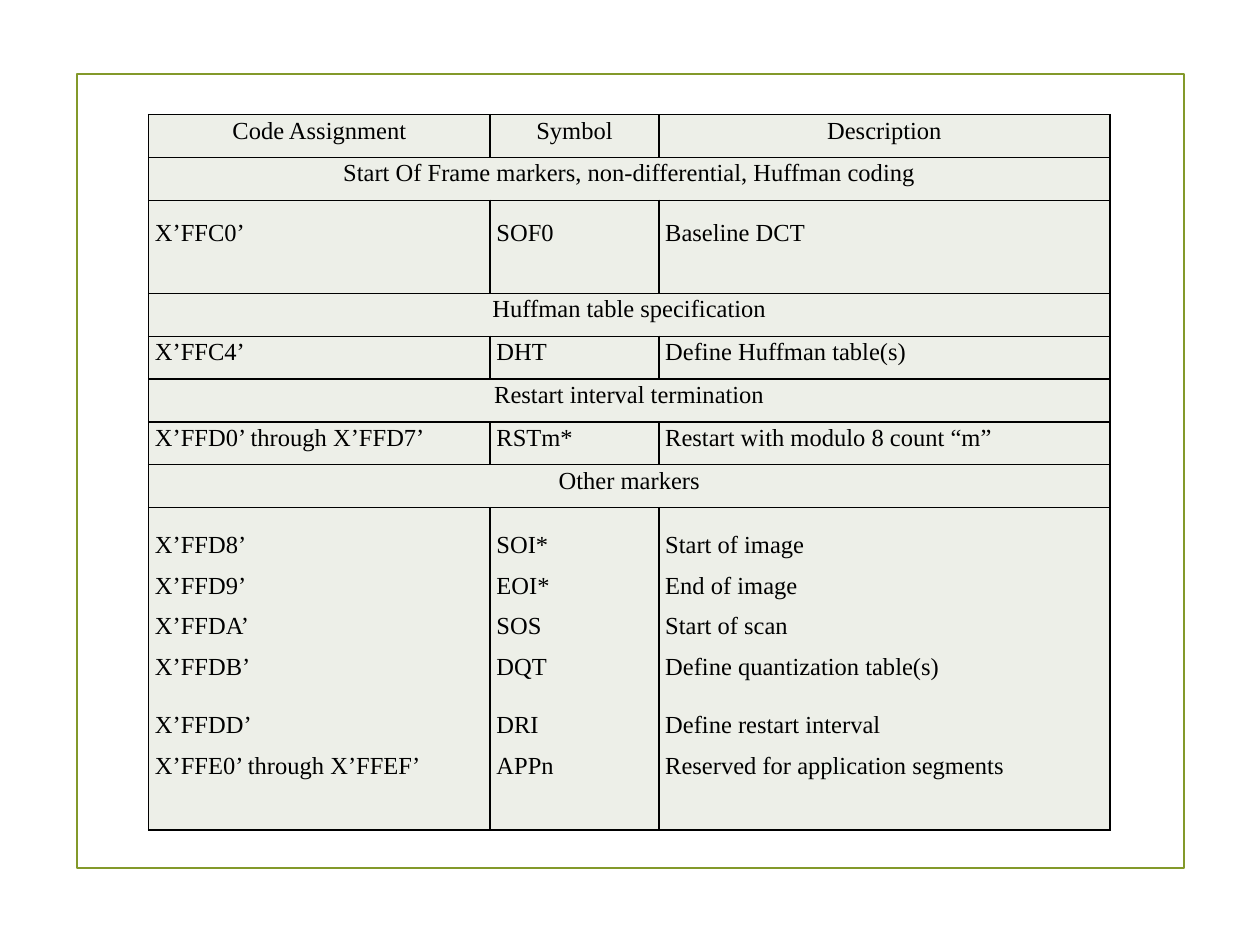
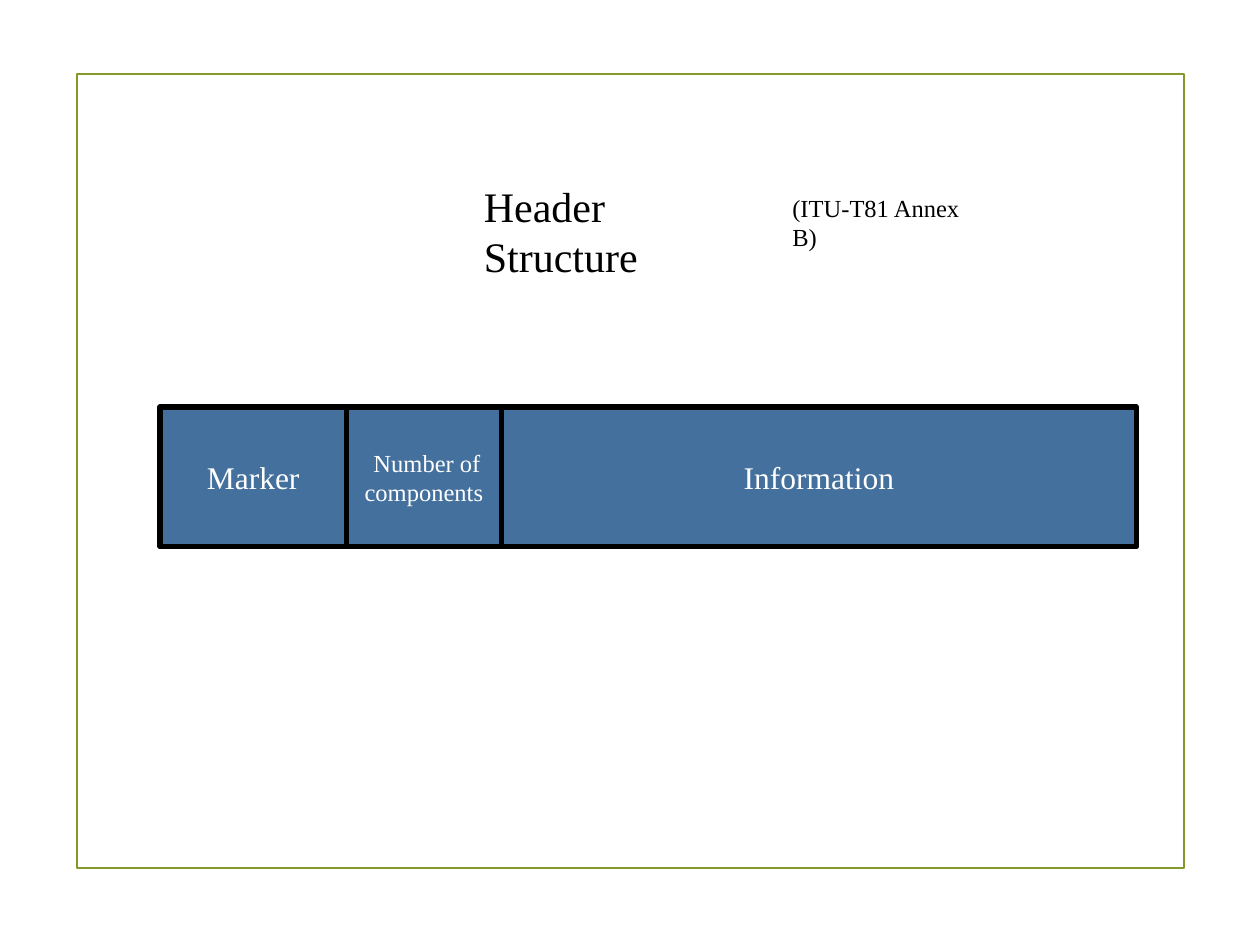
from copy import deepcopy
from dataclasses import dataclass

from lxml import etree
from pptx import Presentation
from pptx.dml.color import RGBColor
from pptx.enum import shapes, text
from pptx.oxml import ns
from pptx.util import Inches, Pt


@dataclass(frozen=True)
class Theme:
    font: str = "Times New Roman"
    ink: str = "000000"
    paper: str = "FFFFFF"
    frame: str = "83992A"
    cell: str = "EDEFE8"
    field: str = "44709D"
    title_size: int = 24
    field_size: int = 18
    body_size: int = 14


THEME = Theme()
FRAME_BOX = (0.61, 0.59, 8.79, 6.3)

COLUMN_WIDTHS = (2.71, 1.34, 3.58)
LINE_HEIGHT = 0.34

# Each row is a spanning heading, or groups of (code, symbol, description)
MARKER_ROWS = [
    "Start Of Frame markers, non-differential, Huffman coding",
    [[("X’FFC0’", "SOF0", "Baseline DCT")]],
    "Huffman table specification",
    [[("X’FFC4’", "DHT", "Define Huffman table(s)")]],
    "Restart interval termination",
    [[("X’FFD0’ through X’FFD7’", "RSTm*", "Restart with modulo 8 count “m”")]],
    "Other markers",
    [
        [
            ("X’FFD8’", "SOI*", "Start of image"),
            ("X’FFD9’", "EOI*", "End of image"),
            ("X’FFDA’", "SOS", "Start of scan"),
            ("X’FFDB’", "DQT", "Define quantization table(s)"),
        ],
        [
            ("X’FFDD’", "DRI", "Define restart interval"),
            ("X’FFE0’ through X’FFEF’", "APPn", "Reserved for application segments"),
        ],
    ],
]
# Rows that are taller than one line: height, bottom margin, line spacing
TALL_ROWS = {2: (0.74, 0.14, Pt(9.5)), 8: (2.56, 0.32, 1.5)}

HEADER_FIELDS = [
    ("Marker", 1.48, THEME.field_size),
    (" Number of components", 1.23, THEME.body_size),
    ("Information", 5.04, THEME.field_size),
]


def inches(box):
    return [Inches(length) for length in box]


def write(frame, words, size, color, **paragraph_format):
    """Fill a text frame and give all its paragraphs one format."""
    frame.text = words
    for paragraph in frame.paragraphs:
        for name, value in paragraph_format.items():
            setattr(paragraph, name, value)
        for run in paragraph.runs:
            run.font.name = THEME.font
            run.font.size = Pt(size)
            run.font.color.rgb = RGBColor.from_string(color)
        # Line breaks take the size of the text around them
        for line_break in paragraph._p.findall(ns.qn("a:br")):
            line_break.append(deepcopy(paragraph.runs[0]._r.rPr))


def add_box(slide, box, line, width, fill=None):
    rect = slide.shapes.add_shape(shapes.MSO_SHAPE.RECTANGLE, *inches(box))
    rect.shadow.inherit = False
    rect.line.color.rgb = RGBColor.from_string(line)
    rect.line.width = Pt(width)
    if fill:
        rect.fill.solid()
        rect.fill.fore_color.rgb = RGBColor.from_string(fill)
    else:
        rect.fill.background()
    return rect


def add_framed_slide(deck, layout):
    slide = deck.slides.add_slide(deck.slide_layouts[layout])
    add_box(slide, FRAME_BOX, THEME.frame, 1.25)
    return slide


def border_cell(cell):
    properties = cell._tc.get_or_add_tcPr()
    for index, side in enumerate(("lnL", "lnR", "lnT", "lnB")):
        edge = etree.Element(ns.qn(f"a:{side}"), w=str(Pt(1)))
        fill = etree.SubElement(edge, ns.qn("a:solidFill"))
        etree.SubElement(fill, ns.qn("a:srgbClr"), val=THEME.ink)
        properties.insert(index, edge)


def write_cell(cell, words, align, bottom=0, spacing=Pt(9.5)):
    write(cell.text_frame, words, THEME.body_size, THEME.ink, alignment=align,
          line_spacing=spacing, space_before=Pt(5), space_after=Pt(5))
    cell.margin_bottom = Inches(bottom)


def add_marker_table(slide, left, top):
    heights = [TALL_ROWS.get(row, (LINE_HEIGHT,))[0]
               for row in range(len(MARKER_ROWS) + 1)]
    box = (left, top, sum(COLUMN_WIDTHS), sum(heights))
    table = slide.shapes.add_table(
        len(heights), len(COLUMN_WIDTHS), *inches(box)).table
    table.first_row = table.horz_banding = False
    for column, width in zip(table.columns, COLUMN_WIDTHS):
        column.width = Inches(width)
    for row, height in zip(table.rows, heights):
        row.height = Inches(height)

    # Common look of the cells
    for cell in table.iter_cells():
        cell.fill.solid()
        cell.fill.fore_color.rgb = RGBColor.from_string(THEME.cell)
        cell.vertical_anchor = text.MSO_ANCHOR.MIDDLE
        cell.margin_left = cell.margin_right = Inches(0.05)
        cell.margin_top = cell.margin_bottom = 0
        border_cell(cell)

    # Column heads
    for column, head in enumerate(("Code Assignment", "Symbol", "Description")):
        write_cell(table.cell(0, column), head, text.PP_ALIGN.CENTER)

    # Headings and marker groups
    for row, content in enumerate(MARKER_ROWS, start=1):
        if isinstance(content, str):
            heading = table.cell(row, 0)
            heading.merge(table.cell(row, len(COLUMN_WIDTHS) - 1))
            write_cell(heading, content, text.PP_ALIGN.CENTER)
            continue
        for column in range(len(COLUMN_WIDTHS)):
            words = "\n".join("\v".join(marker[column] for marker in group)
                              for group in content)
            write_cell(table.cell(row, column), words, text.PP_ALIGN.LEFT,
                       *TALL_ROWS.get(row, ())[1:])


def place_caption(caption, box, words, size):
    caption.left, caption.top, caption.width, caption.height = inches(box)
    frame = caption.text_frame
    frame.word_wrap = True
    frame.auto_size = text.MSO_AUTO_SIZE.NONE
    frame.vertical_anchor = text.MSO_ANCHOR.TOP
    frame.margin_right = Inches(0.2)
    write(frame, words, size, THEME.ink, alignment=text.PP_ALIGN.LEFT)


def add_header_fields(slide, left, top, height):
    for label, width, size in HEADER_FIELDS:
        field = add_box(slide, (left, top, width, height), THEME.ink, 3, THEME.field)
        field.text_frame.word_wrap = True
        field.text_frame.vertical_anchor = text.MSO_ANCHOR.MIDDLE
        write(field.text_frame, label, size, THEME.paper,
              alignment=text.PP_ALIGN.CENTER)
        left += width


def build_marker_slide(deck):
    slide = add_framed_slide(deck, 6)
    add_marker_table(slide, 1.18, 0.91)


def build_header_slide(deck):
    slide = add_framed_slide(deck, 5)
    add_header_fields(slide, 1.27, 3.23, 1.11)
    place_caption(slide.shapes.title, (3.74, 1.38, 2.44, 0.5),
                  "Header Structure", THEME.title_size)
    reference_box = (6.19, 1.48, 1.74, 0.34)
    place_caption(slide.shapes.add_textbox(*inches(reference_box)), reference_box,
                  "(ITU-T81 Annex B)", THEME.body_size)


def main():
    deck = Presentation()
    deck.slide_width, deck.slide_height = Inches(10), Inches(7.5)
    build_marker_slide(deck)
    build_header_slide(deck)
    deck.save("out.pptx")


if __name__ == "__main__":
    main()
